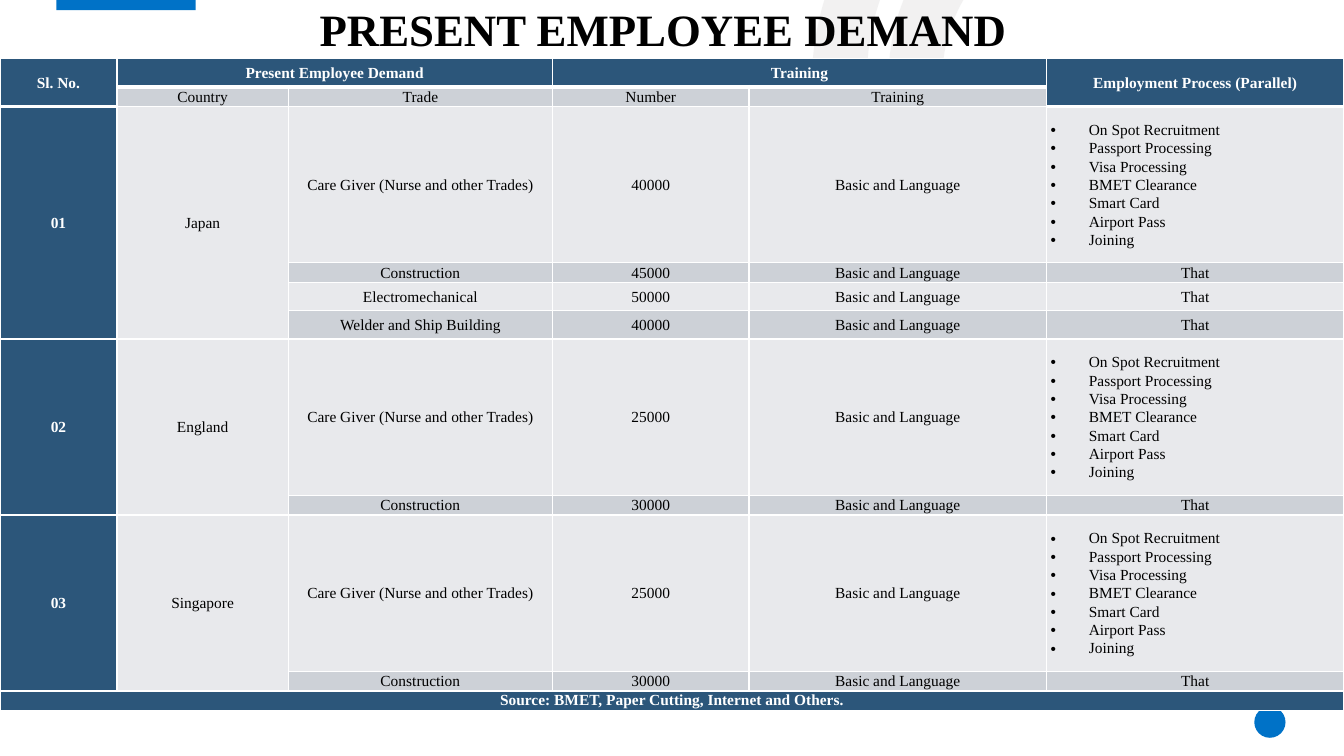
from math import cos, radians, sin

from lxml.etree import SubElement
from pptx import Presentation
from pptx.dml.color import RGBColor
from pptx.enum.shapes import MSO_SHAPE as Shape
from pptx.enum.text import MSO_ANCHOR as Anchor, PP_ALIGN as Align
from pptx.oxml import parse_xml
from pptx.oxml.ns import nsdecls, qn
from pptx.util import Inches, Pt

TITLE = "PRESENT EMPLOYEE DEMAND"
GROUPS = [("Sl. No.", 0, 0), ("Present Employee Demand", 1, 2),
          ("Training", 3, 4), ("Employment Process (Parallel)", 5, 5)]
SUBHEADS = ["Country", "Trade", "Number", "Training"]
CARE = "Care Giver (Nurse and other Trades)"
DEMAND = [
    ("Japan", [(CARE, "40000"), ("Construction", "45000"),
               ("Electromechanical", "50000"), ("Welder and Ship Building", "40000")]),
    ("England", [(CARE, "25000"), ("Construction", "30000")]),
    ("Singapore", [(CARE, "25000"), ("Construction", "30000")]),
]
COURSE = "Basic and Language"
STEPS = ["On Spot Recruitment", "Passport Processing", "Visa Processing",
         "BMET Clearance", "Smart Card", "Airport Pass", "Joining"]
SAME = "That"
SOURCE = "Source: BMET, Paper Cutting, Internet and Others."

FONT = "Times New Roman"
NAVY, DARK, LIGHT = "2C567A", "CDD1D7", "E8E9EC"
WHITE, BLACK, BLUE, GREY = "FFFFFF", "000000", "0072C7", "E7E6E6"
COLUMNS = [1.16, 1.7, 2.62, 1.95, 2.95, 2.95]
SLIM, MEDIUM, TALL = 0.19, 0.28, 1.55
ROWS = [MEDIUM, SLIM, TALL, SLIM, MEDIUM, MEDIUM, TALL, SLIM, TALL, SLIM, SLIM]

# Each arc: its box, a start point, then Bezier segments of two handles and an end point.
ARC_TURN = 144.2
ARCS = [
    ((8.13, -2.02, 4.85, 6), (8.51, 2.29), [
        (7.99, 1.49, 7.87, 0.5, 8.38, -0.5), (8.9, -1.52, 9.76, -2.03, 10.9, -2.07),
        (11.05, -2.07, 11.21, -2.1, 11.31, -1.95), (11.44, -1.75, 11.27, -1.54, 10.98, -1.54),
        (9.67, -1.54, 8.65, -0.59, 8.6, 0.68), (8.56, 1.81, 9.36, 2.81, 10.46, 3.02),
        (11.6, 3.24, 12.7, 2.61, 13.07, 1.52), (13.09, 1.48, 13.11, 1.44, 13.12, 1.4),
        (13.16, 1.19, 13.27, 1.11, 13.49, 1.17), (13.73, 1.24, 13.67, 1.41, 13.61, 1.56),
        (13.34, 2.45, 12.78, 3.07, 11.91, 3.41), (10.7, 3.87, 9.36, 3.45, 8.51, 2.29)]),
    ((9.01, -0.78, 2.13, 4.26), (9.22, 1.99), [
        (8.62, 1.15, 8.69, 0.07, 9.4, -0.68), (9.51, -0.79, 9.62, -0.95, 9.8, -0.78),
        (9.95, -0.64, 9.97, -0.5, 9.79, -0.32), (9.25, 0.26, 9.2, 1.08, 9.65, 1.68),
        (10.08, 2.29, 10.88, 2.49, 11.61, 2.15), (11.82, 2.05, 11.93, 2.12, 12.03, 2.29),
        (12.13, 2.5, 11.97, 2.56, 11.83, 2.63), (10.96, 3.1, 9.83, 2.82, 9.22, 1.99)]),
]


def paint(part, color):
    part.fill.solid()
    part.fill.fore_color.rgb = RGBColor.from_string(color)


def finish(shape, color):
    paint(shape, color)
    shape.line.fill.background()
    shape.shadow.inherit = False


def add_arc(box, start, segments):
    """Add a turned outline whose points are given as they stand on the slide."""
    left, top, width, height = box
    builder = shapes.build_freeform(Inches(left), Inches(top))
    builder.add_line_segments([(Inches(left + width), Inches(top + height))])
    arc = builder.convert_to_shape()
    outline = next(arc._element.iter(qn("a:path")))
    for step in list(outline):
        outline.remove(step)
    turn = radians(-ARC_TURN)

    def add_step(kind, *values):
        step = SubElement(outline, qn(kind))
        for x, y in zip(values[::2], values[1::2]):
            dx, dy = x - left - width / 2, y - top - height / 2
            point = SubElement(step, qn("a:pt"))
            point.set("x", str(Inches(width / 2 + dx * cos(turn) - dy * sin(turn))))
            point.set("y", str(Inches(height / 2 + dx * sin(turn) + dy * cos(turn))))

    add_step("a:moveTo", *start)
    for segment in segments:
        add_step("a:cubicBezTo", *segment)
    add_step("a:close")
    arc.rotation = ARC_TURN
    finish(arc, GREY)
    tint = arc._element.spPr.find(qn("a:solidFill"))[0]
    SubElement(tint, qn("a:alpha")).set("val", "53000")


def add_run(paragraph, text, size, color, bold):
    run = paragraph.add_run()
    run.text = text
    run.font.name, run.font.size, run.font.bold = FONT, Pt(size), bold
    run.font.color.rgb = RGBColor.from_string(color)


def set_head_borders(cell):
    props = cell._tc.get_or_add_tcPr()
    for i, (side, width) in enumerate(zip("LRTB", (1, 1, 1, 3))):
        props.insert(i, parse_xml(
            f'<a:ln{side} {nsdecls("a")} w="{Pt(width)}"><a:solidFill>'
            f'<a:srgbClr val="{WHITE}"/></a:solidFill></a:ln{side}>'))


def write(cell, *lines, bold=False):
    """Fill a cell with one centred line, or with a bulleted list."""
    for i, line in enumerate(lines):
        paragraph = cell.text_frame.paragraphs[0] if i == 0 else cell.text_frame.add_paragraph()
        paragraph.line_spacing = 1.07
        paragraph.space_after = Pt(8 if line == lines[-1] else 0)
        paragraph.alignment = Align.CENTER
        if len(lines) > 1:
            paragraph.alignment = Align.JUSTIFY
            props = paragraph._p.get_or_add_pPr()
            props.set("marL", str(Inches(0.38)))
            props.set("indent", str(-Inches(0.38)))
            SubElement(props, qn("a:buFont")).set("typeface", "Arial")
            SubElement(props, qn("a:buChar")).set("char", "•")
        add_run(paragraph, line, 11, WHITE if bold else BLACK, bold)


deck = Presentation()
deck.slide_width, deck.slide_height = Inches(13.33), Inches(7.5)
slide = deck.slides.add_slide(deck.slide_layouts[6])
shapes = slide.shapes

for arc_parts in ARCS:
    add_arc(*arc_parts)

for preset, box in [(Shape.RECTANGLE, (0.56, -0.02, 1.38, 0.12)),
                    (Shape.OVAL, (12.44, 7.01, 0.31, 0.31))]:
    finish(shapes.add_shape(preset, *map(Inches, box)), BLUE)

heading = shapes.add_textbox(*map(Inches, (3.17, 0.09, 7, 0.47))).text_frame
heading.word_wrap = True
heading.vertical_anchor = Anchor.BOTTOM
heading.margin_left = heading.margin_right = heading.margin_top = heading.margin_bottom = 0
heading.paragraphs[0].line_spacing = 0.9
add_run(heading.paragraphs[0], TITLE, 32, BLACK, True)

table = shapes.add_table(len(ROWS), len(COLUMNS), 0, Inches(0.58),
                         Inches(sum(COLUMNS)), Inches(sum(ROWS))).table
table.horz_banding = False
table.last_row = True
for column, width in zip(table.columns, COLUMNS):
    column.width = Inches(width)
for row, height in zip(table.rows, ROWS):
    row.height = Inches(height)

last = len(ROWS) - 1
for r in range(len(ROWS)):
    for c in range(len(COLUMNS)):
        cell = table.cell(r, c)
        in_head = r == 0 or (r == 1 and c in (0, 5))
        cell.margin_left = cell.margin_right = Inches(0.04)
        cell.margin_top = cell.margin_bottom = 0
        cell.vertical_anchor = Anchor.TOP if r == last else Anchor.MIDDLE
        if in_head:
            set_head_borders(cell)
        if in_head or c == 0 or r == last:
            paint(cell, NAVY)
        else:
            paint(cell, DARK if r % 2 and (c > 1 or r == 1) else LIGHT)

for text, first, end in GROUPS:
    table.cell(0, first).merge(table.cell(int(first == end), end))
    write(table.cell(0, first), text, bold=True)
for c, text in enumerate(SUBHEADS, 1):
    write(table.cell(1, c), text)

top_row = 2
for number, (country, trades) in enumerate(DEMAND, 1):
    for c in (0, 1):
        table.cell(top_row, c).merge(table.cell(top_row + len(trades) - 1, c))
    write(table.cell(top_row, 0), f"{number:02}", bold=True)
    write(table.cell(top_row, 1), country)
    for i, (trade, people) in enumerate(trades):
        for c, text in enumerate((trade, people, COURSE), 2):
            write(table.cell(top_row + i, c), text)
        write(table.cell(top_row + i, 5), *([SAME] if i else STEPS))
    top_row += len(trades)

table.cell(last, 0).merge(table.cell(last, 5))
write(table.cell(last, 0), SOURCE, bold=True)

deck.save("out.pptx")
